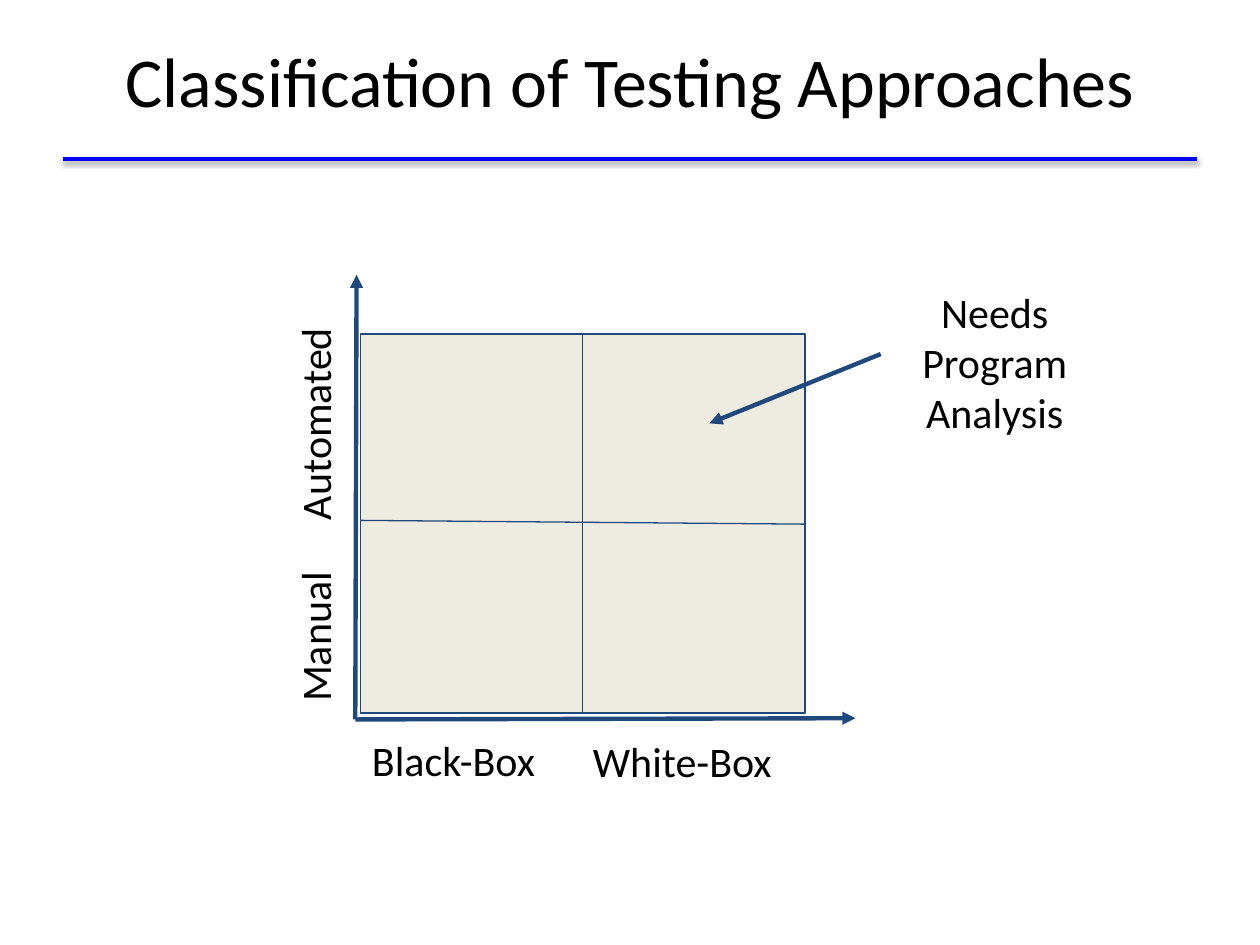
from lxml.etree import SubElement
from pptx import Presentation
from pptx.dml.color import RGBColor
from pptx.enum.shapes import MSO_CONNECTOR, MSO_SHAPE
from pptx.enum.text import MSO_ANCHOR, PP_ALIGN
from pptx.oxml.ns import qn
from pptx.util import Inches, Pt

FONT = "Calibri"
BLACK, NAVY, BLUE, BEIGE = "000000", "1F497D", "0000FF", "EEECE1"
AXIS_WEIGHT, GRID_WEIGHT = 2.5, 0.75

TITLE = ("Classification of Testing Approaches", (0.5, 0.01, 9, 1.25))
# Text, box (left, top, width, height), rotation
LABELS = [
    ("Manual", (1.75, 4.72, 1.56, 0.67), 270),
    ("Automated", (1.58, 3.03, 1.9, 0.67), 270),
    ("Black-Box", (2.82, 5.73, 1.56, 0.67), 0),
    ("White-Box", (4.52, 5.74, 1.79, 0.67), 0),
    ("Needs Program Analysis", (6.79, 2.17, 2.21, 1.29), 0),
]

LEFT, TOP, WIDTH, HEIGHT = MATRIX = (2.86, 2.65, 3.53, 3.01)
RIGHT, BOTTOM = LEFT + WIDTH, TOP + HEIGHT
CENTER = LEFT + WIDTH / 2
ORIGIN = (2.82, 5.71)
AXES = [(ORIGIN, (2.83, 2.18)), (ORIGIN, (6.79, 5.7))]
DIVIDERS = [((CENTER, TOP), (CENTER, BOTTOM)), ((LEFT, 4.13), (RIGHT, 4.16))]
POINTER = ((6.99, 2.81), (5.63, 3.36))


def color(hex_code):
    return RGBColor.from_string(hex_code)


def add_text(slide, text, box, size=24, rotation=0, anchor=MSO_ANCHOR.TOP, inset=0.1):
    label = slide.shapes.add_textbox(*map(Inches, box))
    label.rotation = rotation
    frame = label.text_frame
    frame.word_wrap = True
    frame.vertical_anchor = anchor
    frame.margin_left = frame.margin_right = Inches(inset)
    frame.margin_top = frame.margin_bottom = Inches(inset)
    paragraph = frame.paragraphs[0]
    paragraph.alignment = PP_ALIGN.CENTER
    run = paragraph.add_run()
    run.text = text
    run.font.name = FONT
    run.font.size = Pt(size)
    run.font.color.rgb = color(BLACK)


def add_line(slide, start, end, weight, hex_code=NAVY, arrow=False, shadow=False):
    line = slide.shapes.add_connector(
        MSO_CONNECTOR.STRAIGHT, *map(Inches, (*start, *end)))
    line.line.color.rgb = color(hex_code)
    line.line.width = Pt(weight)
    if arrow:
        SubElement(line.line._get_or_add_ln(), qn("a:tailEnd"), type="triangle")
    effects = SubElement(line._element.spPr, qn("a:effectLst"))
    if shadow:
        outer = SubElement(effects, qn("a:outerShdw"), blurRad=str(Pt(3.1)),
                           dist=str(Pt(1.6)), dir="5400000", rotWithShape="0")
        tint = SubElement(outer, qn("a:srgbClr"), val=BLACK)
        SubElement(tint, qn("a:alpha"), val="38000")


def add_matrix(slide):
    matrix = slide.shapes.add_shape(MSO_SHAPE.RECTANGLE, *map(Inches, MATRIX))
    matrix.shadow.inherit = False
    matrix.fill.solid()
    matrix.fill.fore_color.rgb = color(BEIGE)
    matrix.line.color.rgb = color(NAVY)
    matrix.line.width = Pt(GRID_WEIGHT)


def main():
    deck = Presentation()
    deck.slide_width, deck.slide_height = Inches(10), Inches(7.5)
    slide = deck.slides.add_slide(deck.slide_layouts[6])

    add_line(slide, (0.5, 1.26), (9.5, 1.26), 2, BLUE, shadow=True)
    add_text(slide, *TITLE, size=40, anchor=MSO_ANCHOR.MIDDLE)
    for start, end in AXES:
        add_line(slide, start, end, AXIS_WEIGHT, arrow=True)
    add_matrix(slide)
    for start, end in DIVIDERS:
        add_line(slide, start, end, GRID_WEIGHT)
    add_line(slide, *POINTER, AXIS_WEIGHT, arrow=True)
    for text, box, rotation in LABELS:
        add_text(slide, text, box, rotation=rotation)

    deck.save("out.pptx")


if __name__ == "__main__":
    main()
